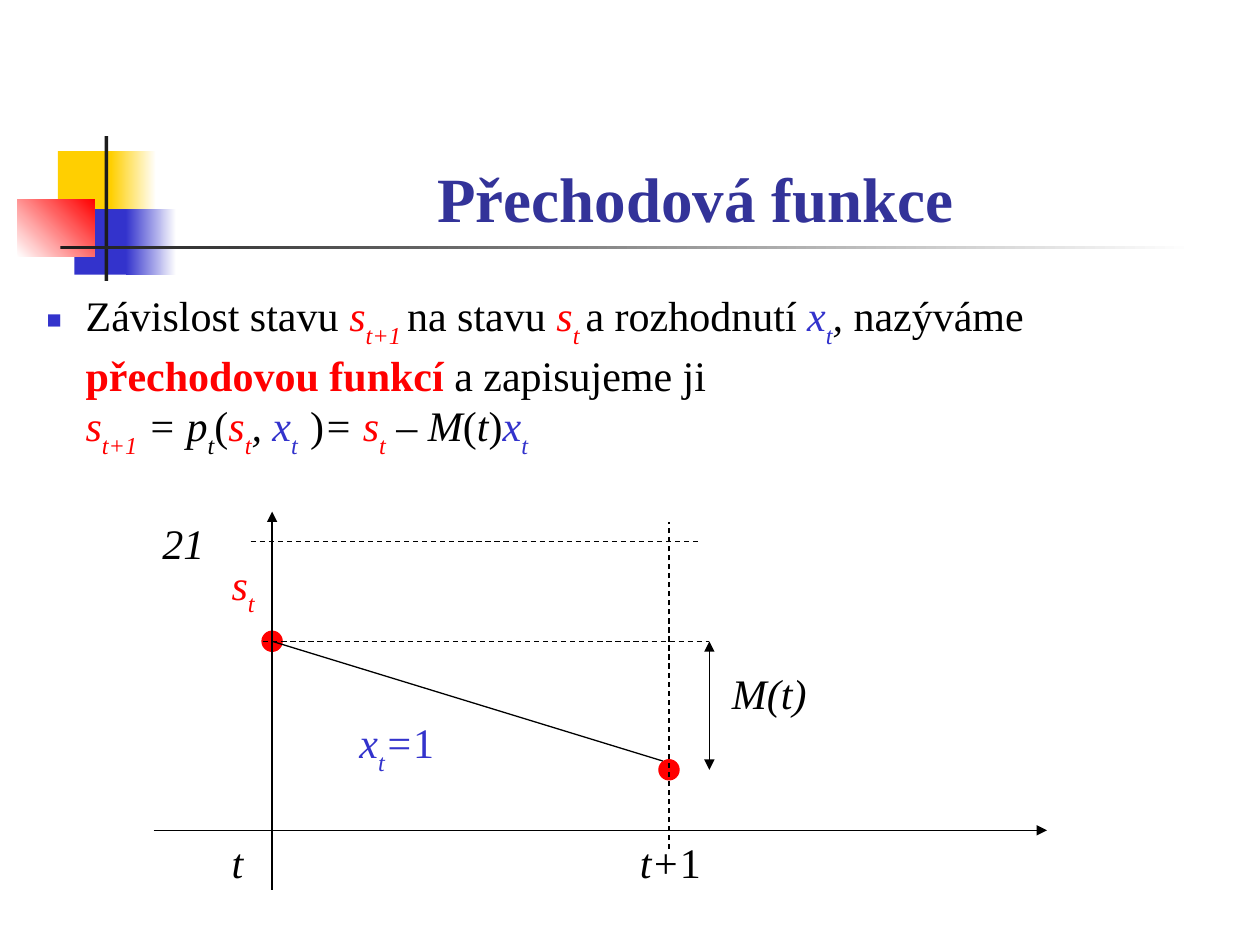
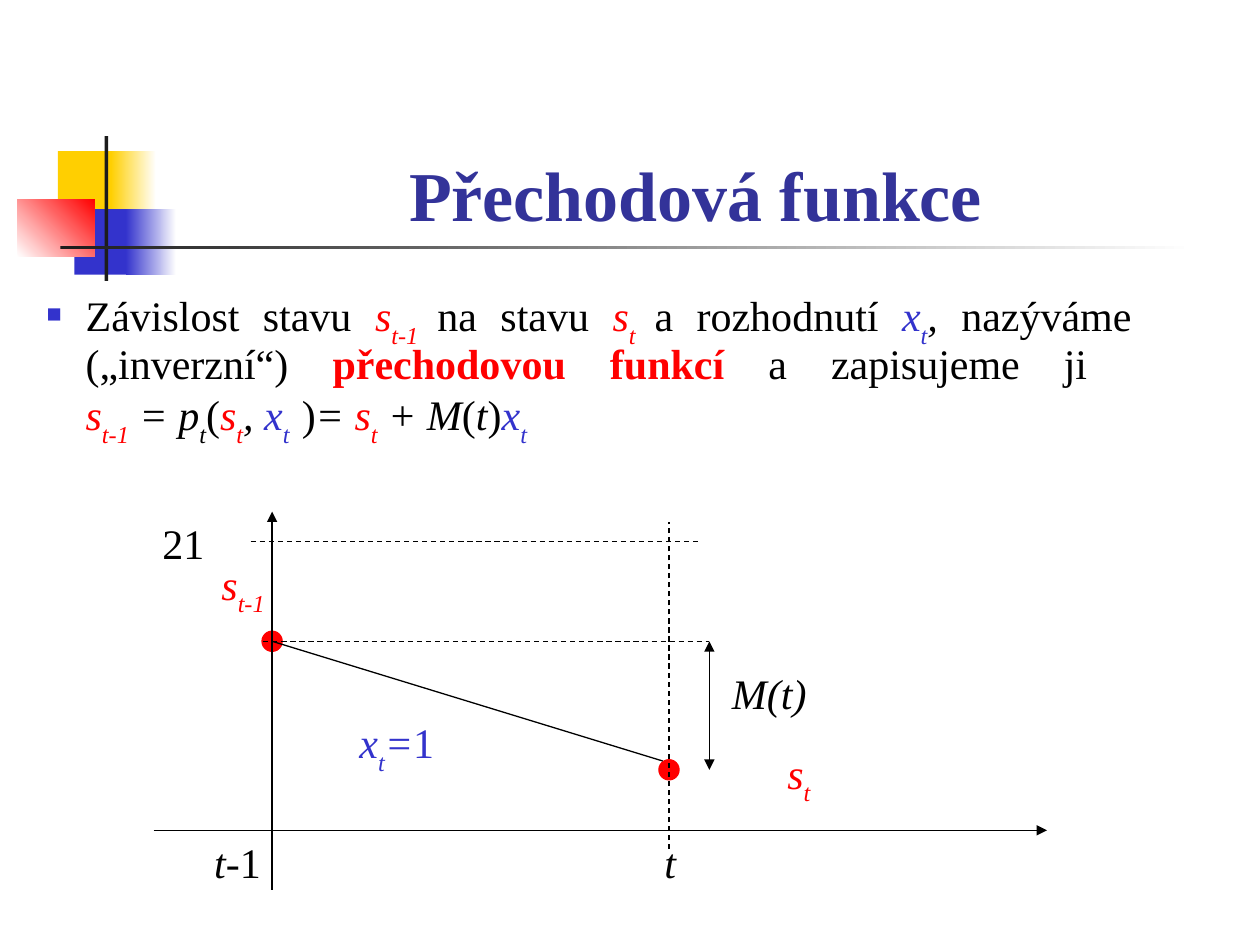
import lxml.etree
import pptx
import pptx.dml.color
import pptx.enum.dml
import pptx.enum.shapes
import pptx.enum.text
import pptx.oxml.ns
import pptx.util

Inch = pptx.util.Inches
Color = pptx.dml.color.RGBColor
Align = pptx.enum.text.PP_ALIGN
Anchor = pptx.enum.text.MSO_ANCHOR
Kind = pptx.enum.shapes.MSO_SHAPE

BLACK = Color(0x00, 0x00, 0x00)
WHITE = Color(0xFF, 0xFF, 0xFF)
RED = Color(0xFF, 0x00, 0x00)
BLUE = Color(0x33, 0x33, 0xCC)
NAVY = Color(0x33, 0x33, 0x99)
GOLD = Color(0xFF, 0xCF, 0x01)
INK = Color(0x1C, 0x1C, 0x1C)
FONT = "Times New Roman"
HUES = {"r": RED, "b": BLUE, "n": NAVY}

# Text runs are (text, flags): r, b, n = colour, i = italic, B = bold, _ = subscript
TITLE = [("Přechodová funkce", "nB")]
STATE = [("s", "ri"), ("t", "ri_")]
MOVE = [("x", "bi"), ("t", "bi_")]


def rule(step, word, sign):
    """Sentence and formula for the step in the given direction."""
    return [
        ("Závislost stavu ", ""), ("s", "ri"), (step + " ", "ri_"), ("na stavu ", ""),
        ("s", "ri"), ("t ", "ri_"), ("a rozhodnutí ", ""), *MOVE, (", ", "i"),
        ("nazýváme " + word, ""), ("přechodovou funkcí", "rB"), (" a zapisujeme ji ", ""),
        ("\n", ""), ("s", "ri"), (step, "ri_"), (" = p", "i"), ("t", "i_"), ("(", ""),
        *STATE, (", ", "i"), ("x", "bi"), ("t  ", "bi_"), (")", ""), ("= ", "i"),
        *STATE, (f" {sign} M", "i"), ("(", ""), ("t", "i"), (")", ""), *MOVE]


SLIDES = [
    dict(size=36, body=rule("t+1", "", "–"), align=Align.LEFT, space=1.0,
         left=[("t", "i")], right=[("t+", "i"), ("1", "")],
         start=STATE, top=[("21", "i")], end=None),
    dict(size=40, body=rule("t-1", "(„inverzní“) ", "+"), align=Align.JUSTIFY, space=0.9,
         left=[("t-", "i"), ("1", "")], right=[("t", "i")],
         start=[("s", "ri"), ("t-1", "ri_")], top=[("21", "")], end=STATE),
]

# Columns and rows of the graph, in inches
COL = dict(axis=1.22, now=2.16, next=5.31, span=5.63, tip=8.31)
ROW = dict(tip=4.06, top=4.3, start=5.09, end=6.11, axis=6.59, foot=7.06)
DOT = 0.16

# Corner motif: left, top, width, height, colours, angle
MOTIF = [
    (0.46, 1.2, 0.48, 0.52, [GOLD], 0),
    (0.88, 1.2, 0.36, 0.52, [GOLD, WHITE], 0),
    (0.59, 1.66, 0.46, 0.52, [BLUE], 0),
    (1.0, 1.66, 0.4, 0.52, [BLUE, WHITE], 0),
    (0.14, 1.58, 0.61, 0.46, [WHITE, RED], 45),
    (0.83, 1.08, 0.03, 1.15, [INK], 0),
    (0.48, 1.95, 9, 0.03, [INK, WHITE], 0),
]

# Lines: start, end, width, dashed, arrowheads
LINES = [
    ((COL["axis"], ROW["axis"]), (COL["tip"], ROW["axis"]), 0.75, False, ["tailEnd"]),
    ((COL["now"], ROW["foot"]), (COL["now"], ROW["tip"]), 0.75, False, ["tailEnd"]),
    ((COL["next"], 6.74), (COL["next"], 4.14), 0.75, True, []),
    ((COL["now"], ROW["start"]), (5.26, 6.04), 0.75, False, []),
    ((1.99, ROW["top"]), (5.54, ROW["top"]), 0.75, True, []),
    ((2.09, ROW["start"]), (COL["span"], ROW["start"]), 0.75, True, []),
    ((COL["span"], ROW["start"]), (COL["span"], ROW["end"]), 1, False,
     ["headEnd", "tailEnd"]),
]


def add(node, tag, **attrs):
    item = lxml.etree.SubElement(node, pptx.oxml.ns.qn("a:" + tag))
    for key, value in attrs.items():
        item.set(key, str(value))
    return item


def write(frame, runs, size=24, align=Align.CENTER, anchor=Anchor.TOP, space=1.0,
          wrap=True, bullet=False):
    """Fill a text frame with formatted runs."""
    frame.word_wrap = wrap
    frame.auto_size = pptx.enum.text.MSO_AUTO_SIZE.NONE
    frame.vertical_anchor = anchor
    para = frame.paragraphs[0]
    if bullet:
        props = para._p.get_or_add_pPr()
        props.set("marL", str(Inch(0.31)))
        props.set("indent", str(-Inch(0.31)))
        add(add(props, "buClr"), "srgbClr", val=BLUE)
        add(props, "buSzPct", val=60000)
        add(props, "buChar", char="■")
    para.alignment = align
    para.line_spacing = space
    para.space_before = pptx.util.Pt(0)
    for text, flags in runs:
        if text == "\n":
            para.add_line_break()
            continue
        run = para.add_run()
        run.text = text
        font = run.font
        font.name, font.size = FONT, pptx.util.Pt(size)
        font.bold, font.italic = "B" in flags, "i" in flags
        font.color.rgb = next((HUES[f] for f in flags if f in HUES), BLACK)
        if "_" in flags:
            run._r.get_or_add_rPr().set("baseline", "-30000")


def place(shape, *spot):
    shape.left, shape.top, shape.width, shape.height = map(Inch, spot)
    return shape.text_frame


def block(slide, kind, spot, hues, angle=0):
    shape = slide.shapes.add_shape(kind, *map(Inch, spot))
    shape.shadow.inherit = False
    shape.line.fill.background()
    if len(hues) == 1:
        shape.fill.solid()
        shape.fill.fore_color.rgb = hues[0]
    else:
        shape.fill.gradient()
        shape.fill.gradient_angle = angle
        for stop, hue in zip(shape.fill.gradient_stops, hues):
            stop.color.rgb = hue
    return shape


def draw(slide, start, end, width, dashed, heads):
    link = slide.shapes.add_connector(
        pptx.enum.shapes.MSO_CONNECTOR.STRAIGHT, *map(Inch, start + end))
    link.line.width = pptx.util.Pt(width)
    link.line.color.rgb = BLACK
    if dashed:
        link.line.dash_style = pptx.enum.dml.MSO_LINE.DASH
    for head in heads:
        add(link.line._get_or_add_ln(), head, type="triangle")
    add(link.element.spPr, "effectLst")


def graph(slide, data):
    # Dots for the two states, then axes and guides
    for x, y in ((COL["now"], ROW["start"]), (COL["next"], ROW["end"])):
        dot = block(slide, Kind.OVAL, (x - DOT / 2, y - DOT / 2, DOT, DOT), [RED])
        dot.line.color.rgb = RED
        dot.line.width = pptx.util.Pt(0.75)
    for line in LINES:
        draw(slide, *line)
    # Labels: left, top, width, runs, wrap
    labels = [
        (1.53, ROW["axis"], 0.71, data["left"], True),
        (4.69, ROW["axis"], 1.26, data["right"], True),
        (1.3, 4.38, 1.26, data["start"], True),
        (2.4, 5.64, 1.5, MOVE + [("=", "bi"), ("1", "b")], True),
        (5.71, 5.25, 0.79, [("M(t)", "i")], False),
        (1.19, ROW["tip"], 0.53, data["top"], False),
    ]
    if data["end"]:
        labels.append((5.71, 5.88, 1.26, data["end"], True))
    for x, y, width, runs, wrap in labels:
        box = slide.shapes.add_textbox(*map(Inch, (x, y, width, 0.5)))
        write(box.text_frame, runs, wrap=wrap)


def main():
    deck = pptx.Presentation()
    deck.slide_width, deck.slide_height = Inch(10), Inch(7.5)
    layout = deck.slide_layouts[1]
    for data in SLIDES:
        slide = deck.slides.add_slide(layout)
        if data is SLIDES[0]:
            # The motif moves to the layout, so every slide shows it
            for *spot, hues, angle in MOTIF:
                part = block(slide, Kind.RECTANGLE, spot, hues, angle)
                layout.shapes.element.append(part.element)
        title, body = slide.placeholders
        write(place(title, 1.26, 0.67, 8.52, 1.25), TITLE, size=data["size"],
              anchor=Anchor.BOTTOM)
        write(place(body, 0.27, 2.25, 8.81, 1.58), data["body"], align=data["align"],
              space=data["space"], bullet=True)
        graph(slide, data)
    deck.save("out.pptx")


if __name__ == "__main__":
    main()
